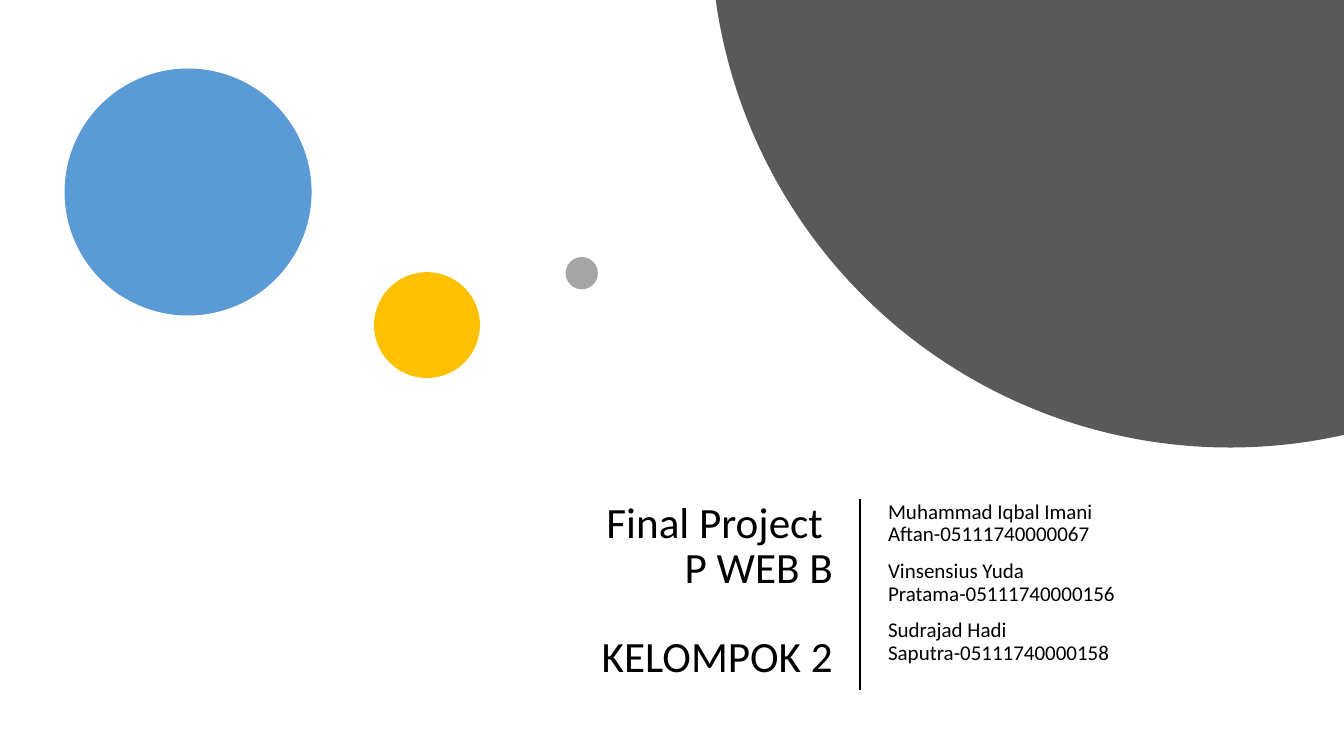
import math
import pptx
import pptx.dml.color
import pptx.enum.shapes
import pptx.enum.text
import pptx.oxml.ns
import pptx.util
from pptx.util import Inches

RGBColor = pptx.dml.color.RGBColor
BLACK = RGBColor(0x00, 0x00, 0x00)
BLUE = RGBColor(0x5B, 0x9B, 0xD5)
GOLD = RGBColor(0xFF, 0xC0, 0x00)
SILVER = RGBColor(0xA5, 0xA5, 0xA5)
CHARCOAL = RGBColor(0x59, 0x59, 0x59)

ANCHOR = pptx.enum.text.MSO_ANCHOR
ALIGN = pptx.enum.text.PP_ALIGN

SLIDE_WIDTH = 13.33
BAND_TOP, BAND_HEIGHT = 4.95, 1.9

deck = pptx.Presentation()
deck.slide_width, deck.slide_height = Inches(SLIDE_WIDTH), Inches(7.5)
slide = deck.slides.add_slide(deck.slide_layouts[6])


def add_text(paragraphs, *, left, width, size, line_spacing, gaps,
             align=ALIGN.LEFT, anchor=ANCHOR.MIDDLE, top_inset=0.05):
    """Write paragraphs in the lower band; gaps are points above each one."""
    box = slide.shapes.add_textbox(
        Inches(left), Inches(BAND_TOP), Inches(width), Inches(BAND_HEIGHT))
    frame = box.text_frame
    frame.word_wrap = True
    frame.vertical_anchor = anchor
    frame.margin_top = Inches(top_inset)
    for index, (text, gap) in enumerate(zip(paragraphs, gaps)):
        paragraph = frame.paragraphs[0] if index == 0 else frame.add_paragraph()
        paragraph.alignment = align
        paragraph.line_spacing = line_spacing
        paragraph.space_before = pptx.util.Pt(gap)
        run = paragraph.add_run()
        run.text = text
        run.font.name = "Calibri"
        run.font.size = pptx.util.Pt(size)
        run.font.color.rgb = BLACK


def paint(shape, color):
    shape.shadow.inherit = False
    shape.fill.solid()
    shape.fill.fore_color.rgb = color
    shape.line.fill.background()


# Title and group members
add_text(["Final Project ", "P WEB B", "KELOMPOK 2"],
         left=0.92, width=7.44, size=30.8, line_spacing=0.7,
         gaps=[0, 6, 38], align=ALIGN.RIGHT)
add_text(["Muhammad Iqbal Imani Aftan-05111740000067",
          "Vinsensius Yuda Pratama-05111740000156",
          "Sudrajad Hadi Saputra-05111740000158"],
         left=8.71, width=3.56, size=15, line_spacing=0.9,
         gaps=[0, 10, 10], anchor=ANCHOR.TOP, top_inset=0.02)

# Small circles
for left, top, diameter, color in [(0.64, 0.68, 2.45, BLUE),
                                   (3.71, 2.7, 1.05, GOLD),
                                   (5.61, 2.55, 0.32, SILVER)]:
    circle = slide.shapes.add_shape(
        pptx.enum.shapes.MSO_SHAPE.OVAL, Inches(left), Inches(top),
        Inches(diameter), Inches(diameter))
    paint(circle, color)

# Large circle cut off by the top and right slide edges
center_x, center_y, radius = 12.2, -0.71, 5.15
start = math.acos((SLIDE_WIDTH - center_x) / radius)
end = math.pi - math.asin(-center_y / radius)
steps = 120
arc = []
for step in range(steps + 1):
    angle = start + (end - start) * step / steps
    arc.append((Inches(center_x + radius * math.cos(angle)),
                Inches(center_y + radius * math.sin(angle))))
outline = slide.shapes.build_freeform(Inches(SLIDE_WIDTH), 0)
outline.add_line_segments(arc, close=True)
paint(outline.convert_to_shape(), CHARCOAL)

# Divider between title and members
divider = slide.shapes.add_connector(
    pptx.enum.shapes.MSO_CONNECTOR.STRAIGHT, Inches(8.53), Inches(BAND_TOP),
    Inches(8.53), Inches(BAND_TOP + BAND_HEIGHT))
divider.line.color.rgb = BLACK
divider.line.width = pptx.util.Pt(1.5)
divider._element.spPr.append(pptx.oxml.xmlchemy.OxmlElement("a:effectLst"))

deck.save("out.pptx")
